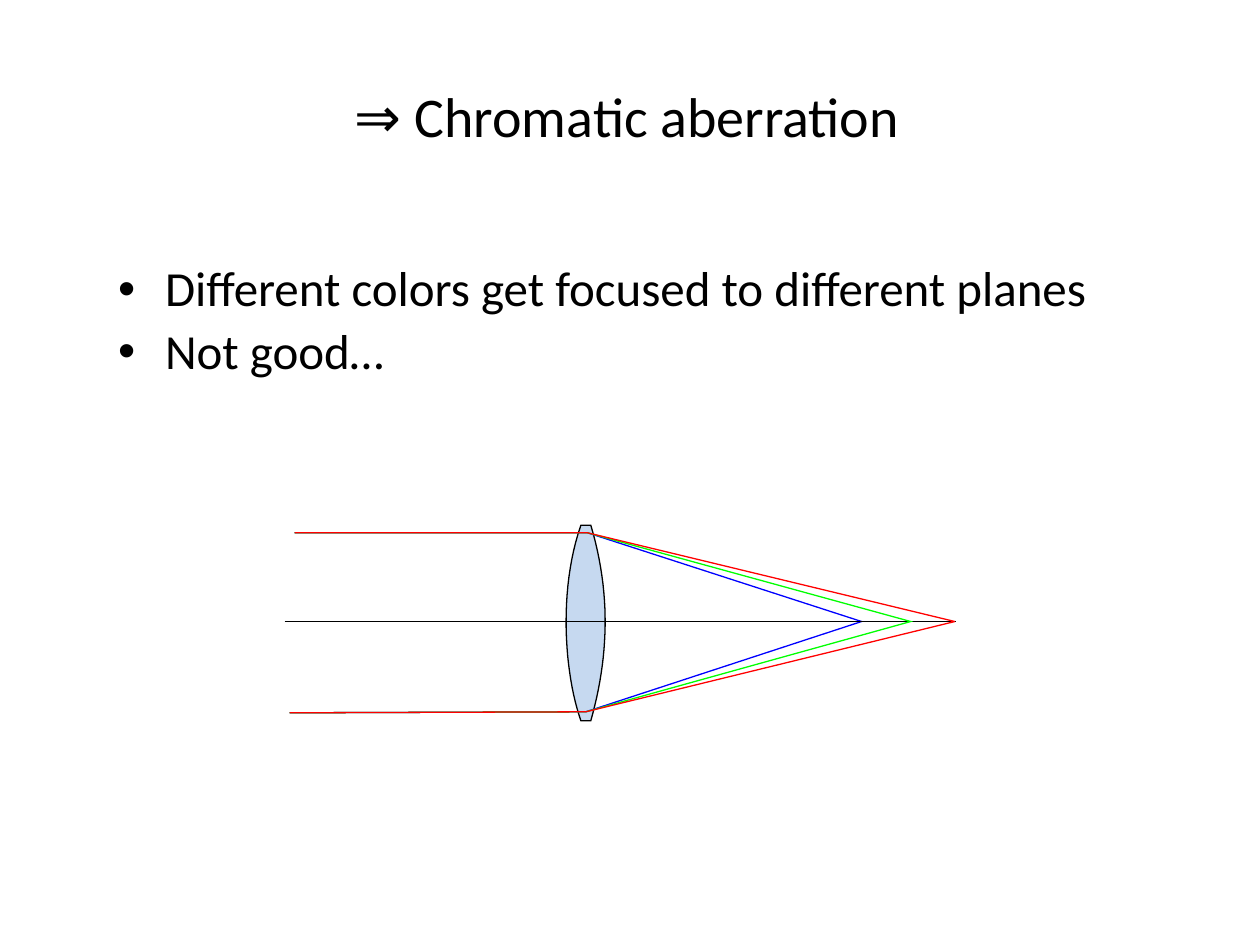
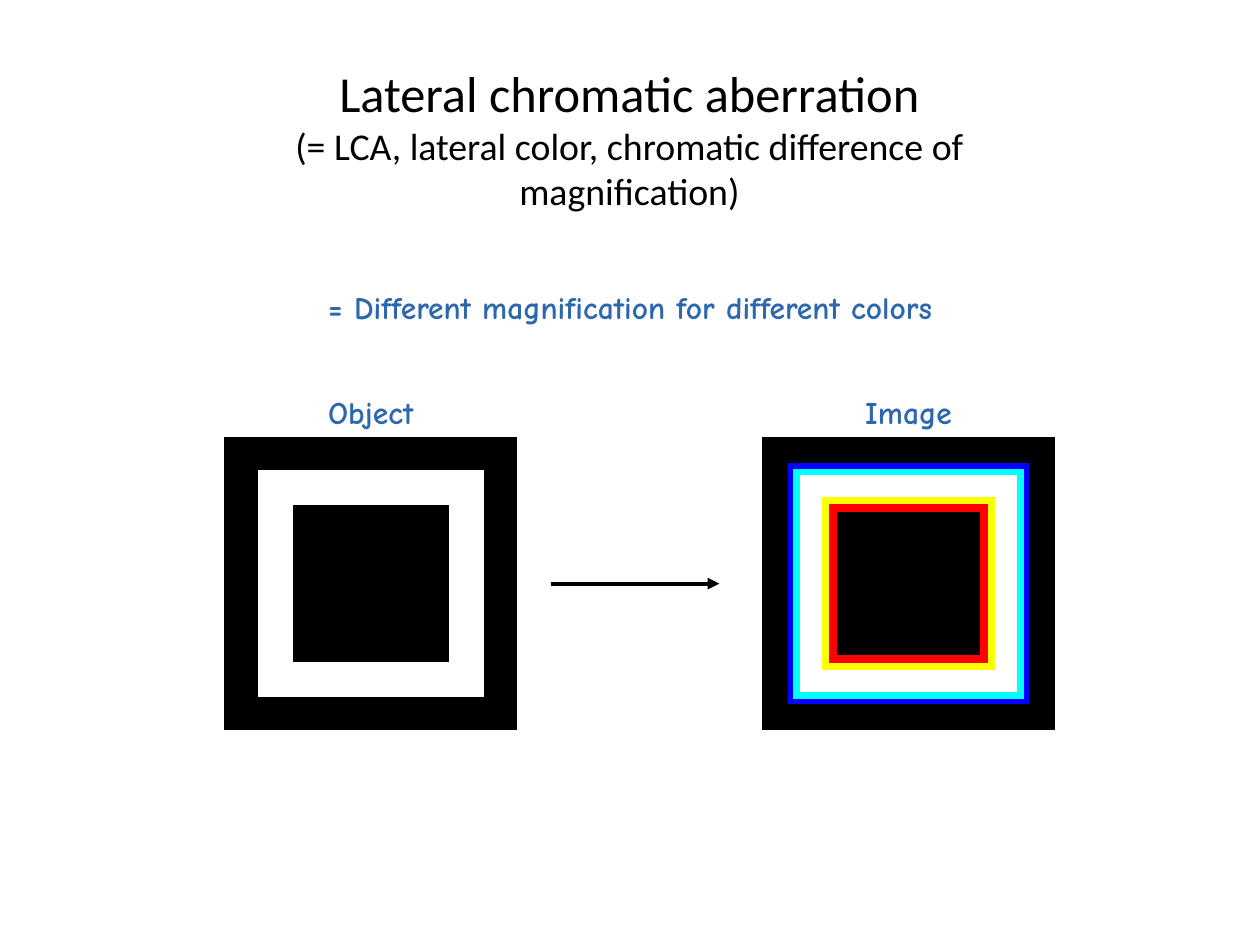
from collections import namedtuple
from dataclasses import dataclass

from lxml.etree import SubElement
from pptx import Presentation
from pptx.dml.color import RGBColor
from pptx.enum.shapes import MSO_CONNECTOR, MSO_SHAPE
from pptx.enum.text import MSO_ANCHOR, PP_ALIGN
from pptx.oxml.ns import qn
from pptx.util import Cm, Pt

Box = namedtuple("Box", "left top width height")


@dataclass(frozen=True)
class Theme:
    body_font: str = "Calibri"
    note_font: str = "Comic Neue"
    black: str = "000000"
    white: str = "FFFFFF"
    blue: str = "0000FF"
    green: str = "00FF00"
    red: str = "FF0000"
    cyan: str = "00FFFF"
    yellow: str = "FFFF00"
    glass: str = "C6D9F0"
    note: str = "2D67AD"
    title_size: float = 32
    long_title_size: float = 28.8
    subtitle_size: float = 21.6
    body_size: float = 28
    note_size: float = 18
    thin: float = 0.75
    arrow: float = 2.25
    fringe: float = 4.5


THEME = Theme()


def rgb(color):
    return RGBColor.from_string(color)


def add_frame(slide, box, anchor=MSO_ANCHOR.TOP):
    frame = slide.shapes.add_textbox(*map(Cm, box)).text_frame
    frame.word_wrap = True
    frame.vertical_anchor = anchor
    return frame


def add_run(paragraph, text, size, font=THEME.body_font, color=THEME.black, bold=False):
    run = paragraph.add_run()
    run.text = text
    run.font.size = Pt(size)
    run.font.name = font
    run.font.bold = bold
    run.font.color.rgb = rgb(color)


def add_title(slide, box, title, size, subtitle=None):
    paragraph = add_frame(slide, box, MSO_ANCHOR.MIDDLE).paragraphs[0]
    paragraph.alignment = PP_ALIGN.CENTER
    add_run(paragraph, title, size)
    if subtitle:
        paragraph.add_line_break()
        add_run(paragraph, subtitle, THEME.subtitle_size)


def add_bullets(slide, box, points):
    frame = add_frame(slide, box)
    for index, point in enumerate(points):
        paragraph = frame.add_paragraph() if index else frame.paragraphs[0]
        properties = paragraph._p.get_or_add_pPr()
        properties.set("marL", str(Cm(0.95)))
        properties.set("indent", str(-Cm(0.95)))
        paragraph.line_spacing = 0.9
        if index:
            paragraph.space_before = Pt(THEME.body_size * 0.2)
        SubElement(properties, qn("a:buFont"), typeface="Arial")
        SubElement(properties, qn("a:buChar"), char="•")
        add_run(paragraph, point, THEME.body_size)


def add_note(slide, box, text):
    paragraph = add_frame(slide, box).paragraphs[0]
    paragraph.alignment = PP_ALIGN.CENTER
    add_run(paragraph, text, THEME.note_size, THEME.note_font, THEME.note, True)


def paint(shape, line, width, fill=None):
    shape.shadow.inherit = False
    if fill:
        shape.fill.solid()
        shape.fill.fore_color.rgb = rgb(fill)
    else:
        shape.fill.background()
    shape.line.color.rgb = rgb(line)
    shape.line.width = Pt(width)
    SubElement(shape.line._get_or_add_ln(), qn("a:miter"), lim="800000")


def add_line(slide, start, end, width, arrow=False):
    line = slide.shapes.add_connector(MSO_CONNECTOR.STRAIGHT, *map(Cm, (*start, *end)))
    line.line.color.rgb = rgb(THEME.black)
    line.line.width = Pt(width)
    if arrow:
        SubElement(line.line._get_or_add_ln(), qn("a:tailEnd"), type="triangle")
    SubElement(line._element.spPr, qn("a:effectLst"))


def add_outline(slide, box, points, line, fill=None):
    placed = [(Cm(box.left + x), Cm(box.top + y)) for x, y in points]
    builder = slide.shapes.build_freeform(*placed[0])
    builder.add_line_segments(placed[1:], close=bool(fill))
    paint(builder.convert_to_shape(), line, THEME.thin, fill)


def curve(start, control_a, control_b, end, steps=24):
    for step in range(steps + 1):
        t = step / steps
        weights = ((1 - t) ** 3, 3 * t * (1 - t) ** 2, 3 * t * t * (1 - t), t ** 3)
        yield tuple(
            sum(w * p for w, p in zip(weights, axis))
            for axis in zip(start, control_a, control_b, end)
        )


def add_lens_diagram(slide, box):
    bottom = box.height
    left_face = curve((5.97, bottom), (5.64, 3), (5.51, 1.32), (5.97, 0))
    right_face = curve((6.17, 0), (6.58, 1.37), (6.53, 2.67), (6.17, bottom))
    add_outline(slide, box, [*left_face, *right_face], THEME.black, THEME.glass)

    axis = 1.94

    def add_ray(focus, color):
        ray = [(0.1, 3.78), (6.07, 3.76), (focus, axis), (6.1, 0.15), (0.2, 0.15)]
        add_outline(slide, box, ray, color)

    add_ray(11.63, THEME.blue)
    axis_y = box.top + axis
    add_line(slide, (box.left, axis_y), (box.left + box.width, axis_y), THEME.thin)
    add_ray(12.62, THEME.green)
    add_ray(13.51, THEME.red)


def add_nested_squares(slide, box, label, rings):
    add_note(slide, Box(box.left + 0.2, box.top - 1.02, box.width - 0.4, 1.07), label)
    squares = slide.shapes.add_group_shape().shapes

    def add_square(side, line, width, fill=None):
        inset = (box.width - side) / 2
        place = (box.left + inset, box.top + inset, side, side)
        square = squares.add_shape(MSO_SHAPE.RECTANGLE, *map(Cm, place))
        paint(square, line, width, fill)

    add_square(box.width, THEME.black, THEME.thin, THEME.black)
    for side, color, width in rings:
        add_square(side, color, width)


def build_aberration(slide):
    add_title(slide, Box(1.85, 0.74, 21.59, 3.18), "⇒ Chromatic aberration", THEME.title_size)
    add_bullets(
        slide,
        Box(2.13, 5.21, 21.59, 3.12),
        ["Different colors get focused to different planes", "Not good…"],
    )
    add_lens_diagram(slide, Box(5.74, 10.59, 13.54, 3.94))


def build_lateral(slide):
    add_title(
        slide,
        Box(4.5, 1.19, 16.38, 3.18),
        "Lateral chromatic aberration",
        THEME.long_title_size,
        "(= LCA, lateral color, chromatic difference of magnification)",
    )
    add_note(
        slide, Box(2.9, 5.69, 19.61, 1.32), "= Different magnification for different colors"
    )
    side, top = 5.89, 8.82
    white_side = 3.86
    add_nested_squares(
        slide, Box(15.37, top, side, side), "Image",
        [
            (4.7, THEME.blue, THEME.fringe),
            (4.48, THEME.cyan, THEME.fringe),
            (white_side, THEME.white, 15),
            (3.33, THEME.yellow, THEME.fringe),
            (3.05, THEME.red, THEME.fringe),
        ],
    )
    add_nested_squares(
        slide, Box(4.53, top, side, side), "Object", [(white_side, THEME.white, 20)]
    )
    middle = top + side / 2
    add_line(slide, (11.1, middle), (14.5, middle), THEME.arrow, arrow=True)


def main():
    deck = Presentation()
    deck.slide_width, deck.slide_height = Cm(25.4), Cm(19.05)
    for build in (build_aberration, build_lateral):
        build(deck.slides.add_slide(deck.slide_layouts[6]))
    deck.save("out.pptx")


if __name__ == "__main__":
    main()
